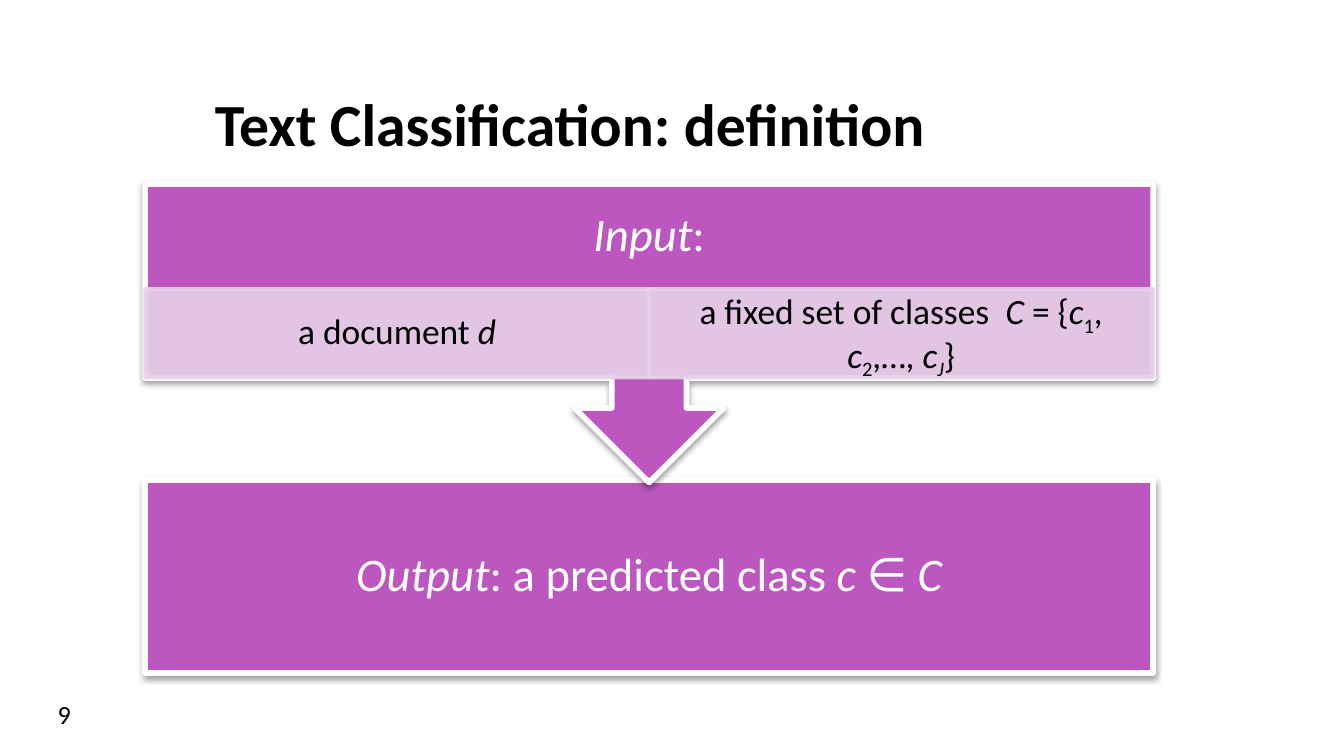
from lxml.etree import SubElement
from pptx import Presentation
from pptx.dml.color import RGBColor
from pptx.enum.shapes import MSO_SHAPE as Shape
from pptx.enum.text import MSO_ANCHOR as Anchor, PP_ALIGN as Align
from pptx.oxml.ns import qn
from pptx.util import Inches, Pt

COLORS = {"purple": "BB57BE", "lilac": "E7D1E8", "white": "FFFFFF", "black": "000000"}
LEFT, WIDTH = 1.08, 7.5

presentation = Presentation()
presentation.slide_width = Inches(10)
presentation.slide_height = Inches(10 * 9 / 16)
slide = presentation.slides.add_slide(presentation.slide_layouts[6])


def write(shape, runs, size, color, inset=(0.1, 0.05), align=Align.CENTER,
          anchor=Anchor.MIDDLE, bold=False):
    """Fill a shape with (text, style) runs; style "i" is italic, "_" is subscript."""
    frame = shape.text_frame
    frame.word_wrap = True
    frame.vertical_anchor = anchor
    frame.margin_left = frame.margin_right = Inches(inset[0])
    frame.margin_top = frame.margin_bottom = Inches(inset[1])
    paragraph = frame.paragraphs[0]
    paragraph.alignment = align
    if align == Align.CENTER:
        paragraph.line_spacing = 0.9
    for text, style in runs:
        run = paragraph.add_run()
        run.text = text
        run.font.name = "Calibri"
        run.font.size = Pt(size)
        run.font.bold = bold
        run.font.italic = "i" in style
        run.font.color.rgb = RGBColor.from_string(COLORS[color])
        if "_" in style:
            run.font._element.set("baseline", "-25000")


def add_panel(kind, left, top, width, height, fill, line, line_width, alpha=None):
    """Add a filled shape; without alpha it is opaque and casts a soft shadow."""
    panel = slide.shapes.add_shape(kind, Inches(left), Inches(top), Inches(width), Inches(height))
    panel.fill.solid()
    panel.fill.fore_color.rgb = RGBColor.from_string(COLORS[fill])
    panel.line.color.rgb = RGBColor.from_string(COLORS[line])
    panel.line.width = Pt(line_width)
    panel.shadow.inherit = False
    properties = panel._element.spPr
    if alpha:
        for color in properties.iter(qn("a:srgbClr")):
            SubElement(color, qn("a:alpha"), val=str(alpha * 1000))
    else:
        shadow = SubElement(properties.find(qn("a:effectLst")), qn("a:outerShdw"),
                            blurRad=str(Pt(3.1)), dist=str(Pt(1.6)), dir="5400000",
                            rotWithShape="0")
        color = SubElement(shadow, qn("a:srgbClr"), val=COLORS["black"])
        SubElement(color, qn("a:alpha"), val="38000")
    return panel


# Title and slide number
title = slide.shapes.add_textbox(Inches(1.5), Inches(0.42), Inches(8.17), Inches(0.81))
write(title, [("Text Classification: definition", "")], 32, "black",
      align=Align.LEFT, anchor=Anchor.BOTTOM, bold=True)
number = slide.shapes.add_textbox(Inches(0.33), Inches(5.15), Inches(2.17), Inches(0.38))
write(number, [("9", "")], 14, "black", align=Align.LEFT, anchor=Anchor.TOP)

# Output box, with the input callout pointing down to it
output = add_panel(Shape.RECTANGLE, LEFT, 3.57, WIDTH, 1.44, "purple", "white", 3)
write(output, [("Output", "i"), (": a predicted class ", ""), ("c ", "i"), ("∈ ", ""), ("C", "i")],
      25, "white", inset=(0.19, 0.19))

callout = add_panel(Shape.UP_ARROW_CALLOUT, LEFT, 1.37, WIDTH, 2.22, "purple", "white", 3)
callout.rotation = 180
heading = slide.shapes.add_textbox(Inches(LEFT), Inches(1.37), Inches(WIDTH), Inches(0.78))
write(heading, [("Input", "i"), (":", "")], 25, "white", inset=(0.19, 0.19))

# The two inputs share the callout's width
inputs = [
    [("a document ", ""), ("d", "i")],
    [("a fixed set of classes  ", ""), ("C ", "i"), ("= {", ""), ("c", "i"), ("1", "_"),
     (", ", ""), ("c", "i"), ("2", "_"), (",…, ", ""), ("c", "i"), ("J", "i_"), ("}", "")],
]
cell_width = WIDTH / len(inputs)
for index, runs in enumerate(inputs):
    cell = add_panel(Shape.RECTANGLE, LEFT + index * cell_width, 2.15, cell_width, 0.66,
                     "lilac", "lilac", 2, alpha=90)
    write(cell, runs, 19, "black", inset=(0.15, 0.03))

presentation.save("out.pptx")
